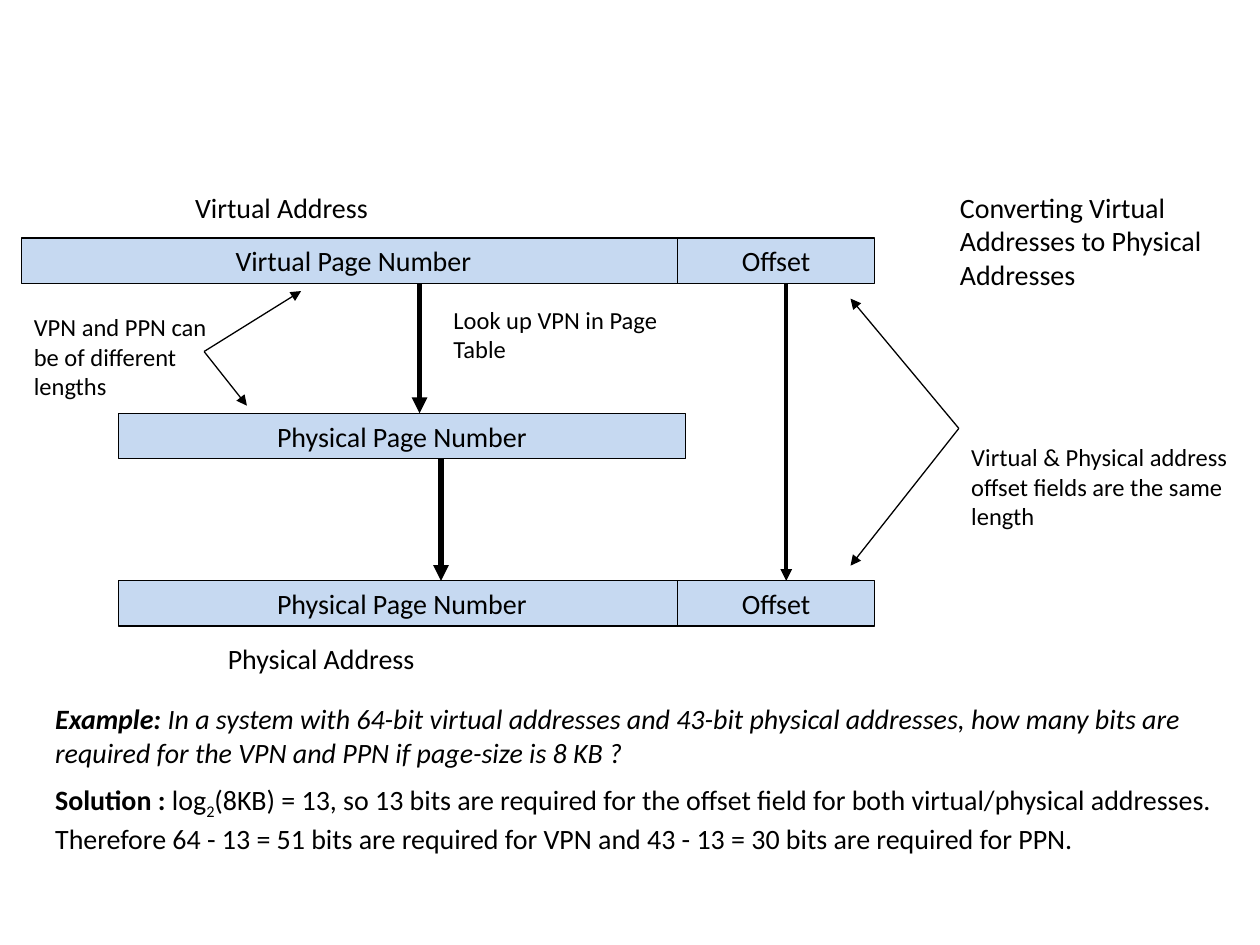
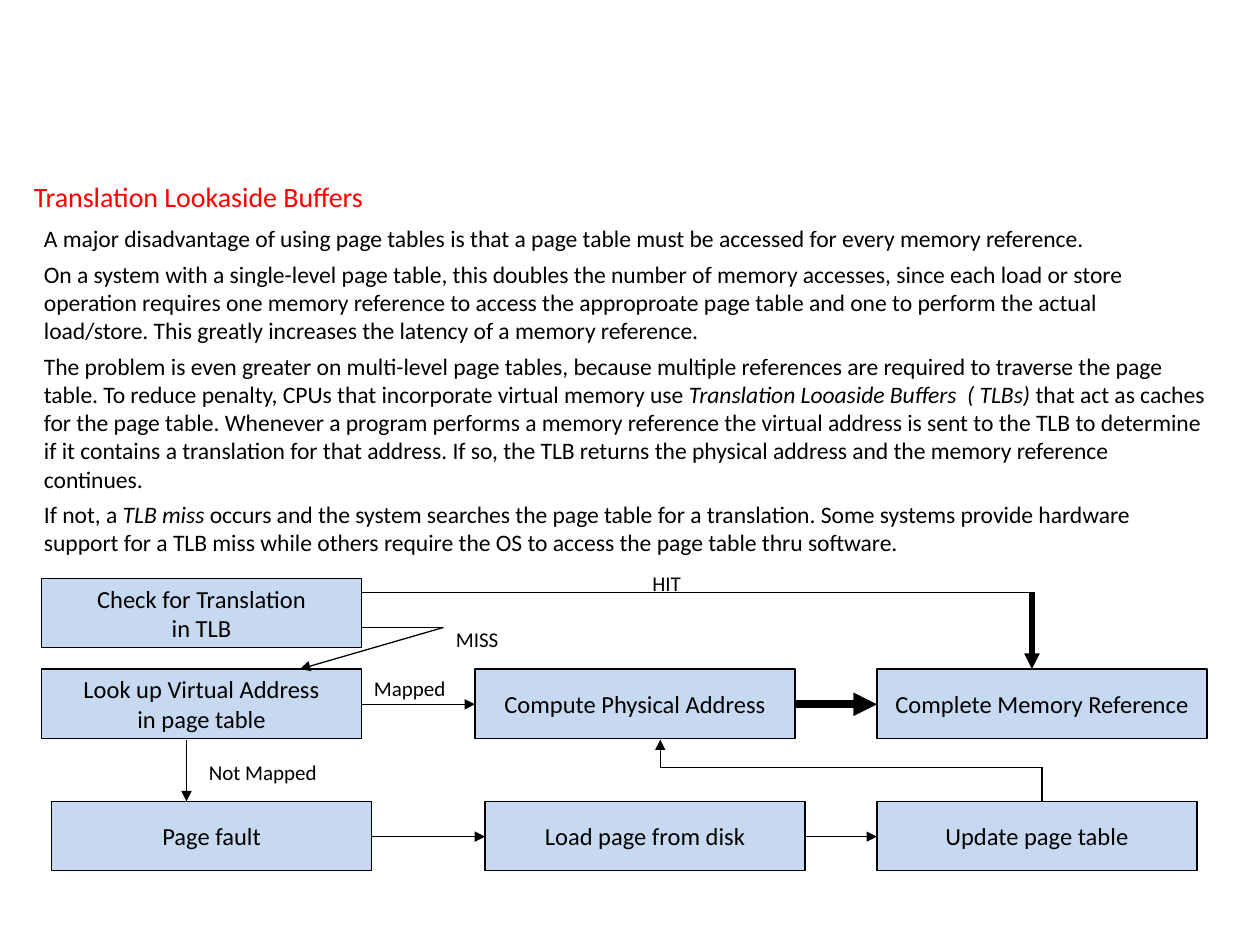
from pptx import Presentation
from pptx.dml.color import RGBColor
from pptx.enum.shapes import MSO_CONNECTOR, MSO_SHAPE
from pptx.enum.text import MSO_ANCHOR, MSO_AUTO_SIZE, PP_ALIGN
from pptx.oxml.ns import qn
from pptx.util import Pt
from lxml import etree

RECTANGLE = MSO_SHAPE.RECTANGLE
STRAIGHT = MSO_CONNECTOR.STRAIGHT
CENTER = PP_ALIGN.CENTER
LEFT = PP_ALIGN.LEFT
MIDDLE = MSO_ANCHOR.MIDDLE
GROW = MSO_AUTO_SIZE.SHAPE_TO_FIT_TEXT

PX = 9144
FONT = "Calibri"
COLORS = {"ink": "000000", "field": "C6D9F1", "heading": "FF0000"}
THIN = 0.75
FIELD_HEIGHT = 36
STEP_HEIGHT = 55


def write_text(frame, paragraphs, size, color="ink", gap=0, align=LEFT):
    for index, spans in enumerate(paragraphs):
        paragraph = frame.paragraphs[0] if index == 0 else frame.add_paragraph()
        paragraph.alignment = align
        if index:
            paragraph.space_before = Pt(gap)
        for text, style in spans:
            span = paragraph.add_run()
            span.text = text
            span.font.name = FONT
            span.font.size = Pt(size)
            span.font.bold = "bold" in style
            span.font.italic = "italic" in style
            span.font.color.rgb = RGBColor.from_string(COLORS[color])
            if style == "subscript":
                span._r.get_or_add_rPr().set("baseline", "-25000")


def add_text(page, place, paragraphs, size, color="ink", gap=0):
    box = page.shapes.add_textbox(*[n * PX for n in place])
    box.text_frame.word_wrap = True
    box.text_frame.auto_size = GROW
    write_text(box.text_frame, paragraphs, size, color, gap)


deck = Presentation()
deck.slide_width = 1000 * PX
deck.slide_height = 750 * PX
address_page = deck.slides.add_slide(deck.slide_layouts[6])
buffer_page = deck.slides.add_slide(deck.slide_layouts[6])

address_fields = [
    (17, 189, 527, "Virtual Page Number"),
    (538, 189, 156, "Offset"),
    (94, 328, 450, "Physical Page Number"),
    (94, 461, 450, "Physical Page Number"),
    (538, 461, 156, "Offset"),
]
lookup_steps = [
    (33, 459, 254, "Check for Translation\nin TLB"),
    (33, 531, 254, "Look up Virtual Address\nin page table"),
    (377, 531, 254, "Compute Physical Address"),
    (696, 531, 262, "Complete Memory Reference"),
    (41, 636, 254, "Page fault"),
    (385, 636, 254, "Load page from disk"),
    (696, 636, 254, "Update page table"),
]
for page, rectangles, height, size in [
    (address_page, address_fields, FIELD_HEIGHT, 16),
    (buffer_page, lookup_steps, STEP_HEIGHT, 14),
]:
    for left, top, width, text in rectangles:
        box = page.shapes.add_shape(RECTANGLE, left * PX, top * PX, width * PX, height * PX)
        box.shadow.inherit = False
        box.fill.solid()
        box.fill.fore_color.rgb = RGBColor.from_string(COLORS["field"])
        box.line.color.rgb = RGBColor.from_string(COLORS["ink"])
        box.line.width = Pt(THIN)
        box.text_frame.word_wrap = False
        box.text_frame.vertical_anchor = MIDDLE
        lines = [[(line, "")] for line in text.split("\n")]
        write_text(box.text_frame, lines, size, align=CENTER)

address_lines = [
    (333, 225, 333, 328, 3, True),
    (350, 364, 350, 461, 3, True),
    (624, 225, 624, 461, 2.25, True),
    (162, 279, 239, 231, THIN, True),
    (162, 279, 196, 322, THIN, True),
    (761, 340, 675, 237, THIN, True),
    (761, 340, 675, 449, THIN, True),
]
lookup_lines = [
    (287, 559, 377, 559, THIN, True),
    (148, 587, 148, 636, THIN, True),
    (295, 664, 385, 664, THIN, True),
    (639, 664, 696, 664, THIN, True),
    (827, 636, 827, 609, THIN, False),
    (524, 609, 827, 609, THIN, False),
    (524, 609, 524, 587, THIN, True),
    (631, 559, 696, 559, 4.5, True),
    (287, 470, 819, 470, THIN, False),
    (819, 470, 819, 531, 3, True),
    (287, 498, 352, 498, THIN, False),
    (352, 498, 238, 531, THIN, True),
]
for page, lines in [(address_page, address_lines), (buffer_page, lookup_lines)]:
    for *ends, weight, has_arrow in lines:
        connector = page.shapes.add_connector(STRAIGHT, *[n * PX for n in ends])
        connector.line.color.rgb = RGBColor.from_string(COLORS["ink"])
        connector.line.width = Pt(weight)
        if has_arrow:
            outline = connector.get_or_add_ln()
            etree.SubElement(outline, qn("a:tailEnd")).set("type", "triangle")
        etree.SubElement(connector._element.spPr, qn("a:effectLst"))

address_labels = [
    ((145, 146, 328, 37), "Virtual Address", 16),
    ((171, 504, 328, 37), "Physical Address", 16),
    ((752, 146, 231, 91), "Converting Virtual Addresses to Physical Addresses", 16),
    ((350, 237, 182, 57), "Look up VPN in Page Table", 14),
    ((17, 243, 162, 81), "VPN and PPN can be of different lengths", 14),
    ((761, 346, 231, 81), "Virtual & Physical address offset fields are the same length", 14),
]
lookup_labels = [
    ((287, 531, 90, 25), "Mapped", 12),
    ((156, 598, 123, 25), "Not Mapped", 12),
    ((508, 448, 90, 25), "HIT", 12),
    ((352, 492, 90, 25), "MISS", 12),
]
for page, labels in [(address_page, address_labels), (buffer_page, lookup_labels)]:
    for place, text, size in labels:
        add_text(page, place, [[(text, "")]], size)

example = [
    [
        ("Example: ", "bold italic"),
        ("In a system with 64-bit virtual addresses and 43-bit physical addresses, how many bits "
         "are required for the VPN and PPN if page-size is 8 KB ?", "italic"),
    ],
    [
        ("Solution : ", "bold"),
        ("log", ""),
        ("2", "subscript"),
        ("(8KB) = 13, so 13 bits are required for the offset field for both virtual/physical "
         "addresses. Therefore 64 - 13 = 51 bits are required for VPN and 43 - 13 = 30 bits are "
         "required for PPN.", ""),
    ],
]
add_text(address_page, (34, 552, 966, 131), example, 16, gap=8)

explanation = [
    [("A major disadvantage of using page tables is that a page table must be accessed for every "
      "memory reference.", "")],
    [("On a system with a single-level page table, this doubles the number of memory accesses, "
      "since each load or store operation requires one memory reference to access the approproate "
      "page table and one to perform the actual load/store. This greatly increases the latency of "
      "a memory reference.", "")],
    [
        ("The problem is even greater on multi-level page tables, because multiple references are "
         "required to traverse the page table. To reduce penalty, CPUs that incorporate virtual "
         "memory use ", ""),
        ("Translation Looaside Buffers  ( TLBs) ", "italic"),
        ("that act as caches for the page table. Whenever a program performs a memory reference "
         "the virtual address is sent to the TLB to determine if it contains a translation for "
         "that address. If so, the TLB returns the physical address and the memory reference "
         "continues.", ""),
    ],
    [
        ("If not, a ", ""),
        ("TLB miss ", "italic"),
        ("occurs and the system searches the page table for a translation. Some systems provide "
         "hardware support for a TLB miss while others require the OS to access the page table "
         "thru software.", ""),
    ],
]
add_text(buffer_page, (17, 138, 917, 37), [[("Translation Lookaside Buffers", "")]], 16, "heading")
add_text(buffer_page, (25, 173, 942, 277), explanation, 13.5, gap=4)

deck.save("out.pptx")
